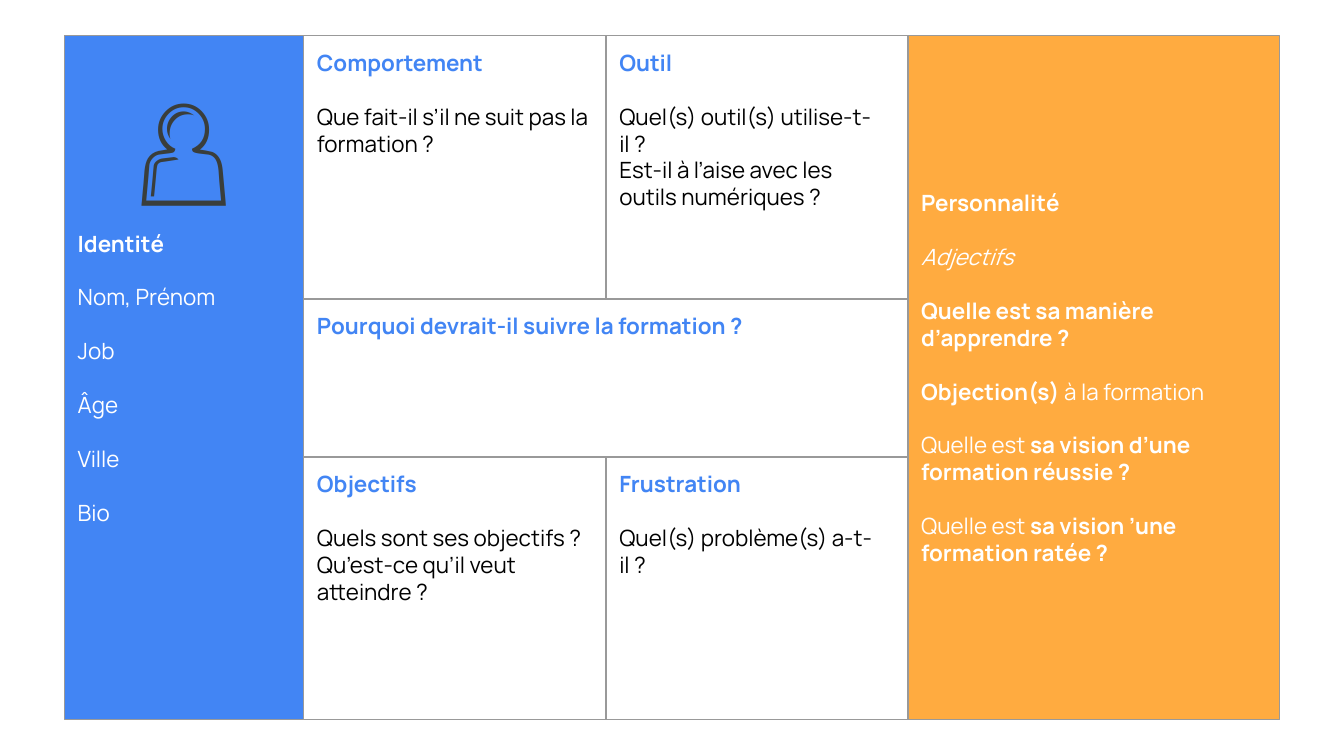
from pptx import Presentation
from pptx.dml.color import RGBColor
from pptx.enum.shapes import MSO_SHAPE as Shape
from pptx.enum.text import MSO_ANCHOR as Anchor, MSO_AUTO_SIZE as Fit, PP_ALIGN as Align
from pptx.util import Pt

PX = 4572  # 200 px to the inch
BLUE, ORANGE, WHITE, BLACK = "4285F4", "FFAB40", "FFFFFF", "000000"
GREY, DARK = "999999", "3A3E3B"
GAP = 14.4  # one line of 12 pt text


def rgb(code):
    return RGBColor.from_string(code)


def add_run(para, text, color, style="", size=12, face="Manrope"):
    """Add one run; style holds b for bold and i for italic."""
    run = para.add_run()
    run.text = text
    font = run.font
    font.name, font.size = face, Pt(size)
    font.bold, font.italic = "b" in style, "i" in style
    font.color.rgb = rgb(color)


deck = Presentation()
deck.slide_width, deck.slide_height = 2000 * PX, 1125 * PX
slide = deck.slides.add_slide(deck.slide_layouts[6])

# Column and row edges of the persona grid
X = [96, 452, 902, 1351, 1904]
Y = [53, 445, 680, 1071]

# Each paragraph: gap above, then runs of (text, color, style)
who = [(0, [("Identité", WHITE, "b")])]
for label in ("Nom, Prénom", "Job", "Âge", "Ville", "Bio"):
    who.append((GAP, [(label, WHITE, "")]))

traits = [
    (0, [("Personnalité", WHITE, "b")]),
    (GAP, [("Adjectifs", WHITE, "i")]),
    (GAP, [("Quelle est sa manière d’apprendre ?", WHITE, "b")]),
    (GAP, [("Objection(s)", WHITE, "b"), (" à la formation", WHITE, "")]),
]
for vision in ("sa vision d’une formation réussie ?",
               "sa vision ’une formation ratée ?"):
    traits.append((GAP, [("Quelle est ", WHITE, ""), (vision, WHITE, "b")]))

# First and last column edge, first and last row edge, title, lines
topics = [
    (1, 2, 0, 1, "Comportement", ["Que fait-il s’il ne suit pas la formation ?"]),
    (1, 2, 2, 3, "Objectifs", ["Quels sont ses objectifs ?",
                               "Qu’est-ce qu’il veut atteindre ?"]),
    (2, 3, 0, 1, "Outil", ["Quel(s) outil(s) utilise-t-il ?",
                           "Est-il à l’aise avec les outils numériques ?"]),
    (2, 3, 2, 3, "Frustration", ["Quel(s) problème(s) a-t-il ?"]),
    (1, 3, 1, 2, "Pourquoi devrait-il suivre la formation ?", []),
]
cells = [(0, 1, 0, 3, BLUE, who)]
for *span, title, lines in topics:
    paras = [(0, [(title, BLUE, "b")])]
    for n, line in enumerate(lines):
        paras.append((0 if n else GAP, [(line, BLACK, "")]))
    cells.append((*span, WHITE, paras))
cells.append((3, 4, 0, 3, ORANGE, traits))

for c1, c2, r1, r2, fill, paras in cells:
    box = slide.shapes.add_shape(
        Shape.RECTANGLE, X[c1] * PX, Y[r1] * PX,
        (X[c2] - X[c1]) * PX, (Y[r2] - Y[r1]) * PX)
    box.shadow.inherit = False
    box.fill.solid()
    box.fill.fore_color.rgb = rgb(fill)
    box.line.color.rgb = rgb(GREY)
    box.line.width = Pt(0.75)
    frame = box.text_frame
    frame.word_wrap = True
    frame.vertical_anchor = Anchor.TOP if fill == WHITE else Anchor.MIDDLE
    frame.margin_left = frame.margin_right = 20 * PX
    frame.margin_top = frame.margin_bottom = 20 * PX
    for n, (gap, runs) in enumerate(paras):
        para = frame.add_paragraph() if n else frame.paragraphs[0]
        para.alignment = Align.LEFT
        para.space_before = Pt(gap)
        for run in runs:
            add_run(para, *run)

# Portrait symbol above the identity text
icon = slide.shapes.add_textbox(168 * PX, 102 * PX, 212 * PX, 222 * PX)
frame = icon.text_frame
frame.word_wrap = True
frame.auto_size = Fit.SHAPE_TO_FIT_TEXT
para = frame.paragraphs[0]
para.alignment = Align.CENTER
add_run(para, "👤", DARK, "b", 60, "Calibri")

deck.save("out.pptx")
